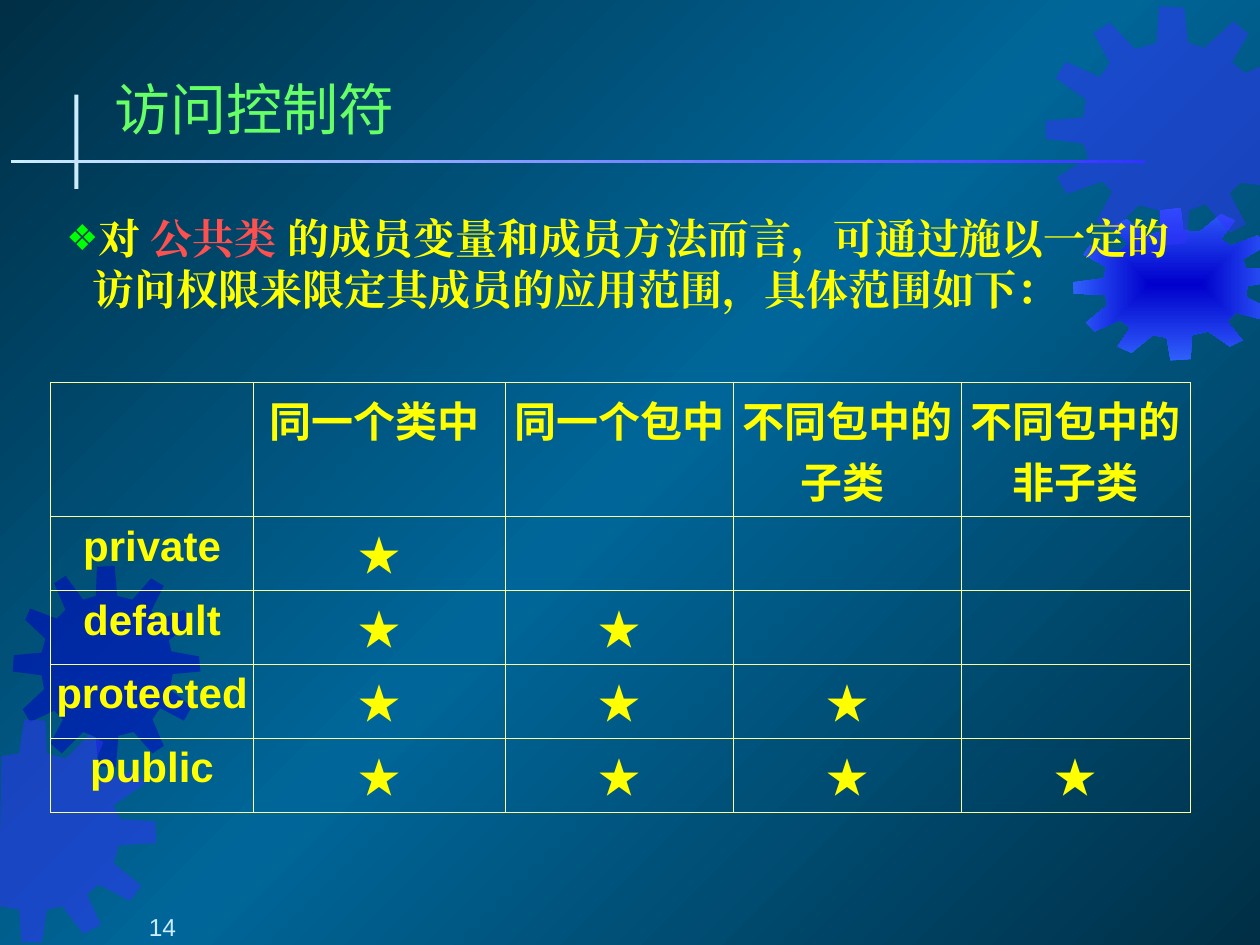
from math import cos, radians, sin

from lxml import etree
from pptx import Presentation
from pptx.dml.color import RGBColor
from pptx.enum.shapes import MSO_SHAPE
from pptx.enum.text import MSO_ANCHOR, MSO_AUTO_SIZE, PP_ALIGN
from pptx.oxml.ns import qn
from pptx.util import Cm, Pt

RECTANGLE = MSO_SHAPE.RECTANGLE
LEFT, CENTER = PP_ALIGN.LEFT, PP_ALIGN.CENTER
TOP, MIDDLE, BOTTOM = MSO_ANCHOR.TOP, MSO_ANCHOR.MIDDLE, MSO_ANCHOR.BOTTOM

NIGHT = RGBColor(0x00, 0x2F, 0x46)
OCEAN = RGBColor(0x00, 0x66, 0x99)
NAVY = RGBColor(0x00, 0x00, 0xCC)
BLUE = RGBColor(0x33, 0x33, 0xFF)
SKY = RGBColor(0x33, 0x66, 0xFF)
PALE = RGBColor(0xCC, 0xEC, 0xFF)
LIGHT_GREEN = RGBColor(0x66, 0xFF, 0x66)
GREEN = RGBColor(0x00, 0xFF, 0x00)
YELLOW = RGBColor(0xFF, 0xFF, 0x00)
CREAM = RGBColor(0xFF, 0xFF, 0x99)
RED = RGBColor(0xFF, 0x50, 0x50)

CJK, SANS, SERIF = "Noto Sans CJK SC", "Arial", "Times New Roman"

# Content
TITLE = "访问控制符"
INTRO = [
    ("对 ", YELLOW),
    ("公共类", RED),
    (" 的成员变量和成员方法而言，可通过施以一定的访问权限来限定其成员的应用范围，具体范围如下：", YELLOW),
]
SCOPES = ["同一个类中 ", "同一个包中 ", "不同包中的子类 ", "不同包中的非子类"]
ACCESS = [("private", 1), ("default", 2), ("protected", 3), ("public", 4)]  # scopes reached
PAGE_NUMBER = "14"

COLUMN_WIDTHS = [4.09, 5.08, 4.6, 4.6, 4.6]
ROW_HEIGHTS = [2.24, 1.24, 1.22, 1.22, 1.22]

# Gear outlines: x, y pairs in units of GEAR_UNIT
GEAR_UNIT = Cm(0.0254)
LEFT_UPPER_GEAR = [
    105, 476, 93, 473, 91, 449, 77, 450, 76, 473, 66, 476, 52, 457, 43, 463, 52, 484, 45, 491,
    24, 483, 20, 492, 36, 507, 33, 518, 11, 520, 10, 533, 33, 536, 35, 547, 18, 563, 24, 573,
    43, 564, 50, 571, 40, 590, 49, 598, 66, 581, 76, 585, 78, 608, 92, 609, 94, 584, 106, 581,
    121, 598, 130, 592, 121, 571, 127, 562, 146, 572, 152, 561, 135, 547, 137, 535, 159, 533,
    158, 521, 136, 517, 134, 508, 152, 495, 146, 484, 126, 492, 120, 485, 130, 465, 120, 459,
]
LEFT_LOWER_GEAR = [
    90, 686, 94, 672, 124, 670, 123, 653, 95, 651, 90, 640, 115, 623, 108, 612, 80, 622, 72, 614,
    82, 590, 71, 584, 52, 603, 37, 599, 36, 573, 19, 572, 15, 599, 1, 601, -1, 720, 15, 723,
    17, 749, 33, 749, 37, 723, 49, 720, 66, 742, 80, 735, 69, 711, 78, 703, 103, 716, 112, 704,
]
RIGHT_LOWER_GEAR = [
    952, 184, 939, 183, 937, 165, 921, 167, 921, 184, 910, 187, 894, 174, 884, 179, 895, 194,
    888, 200, 865, 195, 860, 202, 878, 212, 876, 221, 852, 224, 852, 233, 877, 234, 879, 242,
    862, 256, 869, 263, 889, 254, 897, 260, 887, 275, 898, 280, 915, 266, 926, 268, 929, 286,
    945, 285, 946, 266, 959, 263, 976, 275, 986, 270, 974, 255, 981, 248, 1003, 254, 1008, 245,
    989, 236, 990, 227, 1014, 223, 1013, 214, 989, 213, 986, 206, 1005, 195, 998, 187, 977, 195,
    969, 190, 980, 175, 969, 170,
]
RIGHT_UPPER_GEAR = [
    904, 163, 920, 167, 922, 195, 942, 193, 944, 167, 957, 162, 976, 185, 989, 178, 976, 153,
    985, 145, 1000, 147, 1000, 53, 988, 58, 978, 49, 991, 27, 979, 17, 956, 38, 943, 34, 940, 6,
    920, 5, 918, 34, 901, 39, 881, 18, 868, 26, 881, 50, 873, 61, 846, 49, 838, 62, 862, 79,
    860, 93, 830, 96, 830, 110, 860, 114, 864, 125, 839, 141, 847, 154, 875, 144, 883, 152,
    870, 176, 883, 183,
]


def add_child(parent, tag, **attributes):
    return etree.SubElement(parent, qn(tag), attributes)


def add_color(parent, color):
    return add_child(parent, "a:srgbClr", val=str(color))


def set_gradient(parent, stops, angle=None):
    """Replace the solid fill in parent; without an angle the gradient grows from the centre."""
    gradient = etree.Element(qn("a:gradFill"), rotWithShape="1")
    stop_list = add_child(gradient, "a:gsLst")
    for position, color in stops:
        add_color(add_child(stop_list, "a:gs", pos=str(position * 1000)), color)
    if angle is None:
        shade = add_child(gradient, "a:path")
        shade.set("path", "rect")
        add_child(shade, "a:fillToRect", l="50000", t="50000", r="50000", b="50000")
    else:
        add_child(gradient, "a:lin", ang=str(angle * 60000), scaled="0")
    parent.replace(parent.find(qn("a:solidFill")), gradient)


def paint(shape, color):
    shape.shadow.inherit = False
    shape.line.fill.background()
    shape.fill.solid()
    shape.fill.fore_color.rgb = color


def add_gear(page, outline, turn, color):
    """Draw the outline, kept as a shape that is turned by the given degrees."""
    xs, ys = outline[::2], outline[1::2]
    middle_x, middle_y = (min(xs) + max(xs)) / 2, (min(ys) + max(ys)) / 2
    c, s = cos(radians(turn)), sin(radians(turn))
    points = [
        ((middle_x + (x - middle_x) * c + (y - middle_y) * s) * GEAR_UNIT,
         (middle_y - (x - middle_x) * s + (y - middle_y) * c) * GEAR_UNIT)
        for x, y in zip(xs, ys)
    ]
    builder = page.shapes.build_freeform(*points[0])
    builder.add_line_segments(points[1:], close=True)
    gear = builder.convert_to_shape()
    gear.rotation = turn
    paint(gear, color)
    return gear


def add_bar(page, left, top, width, height, color):
    bar = page.shapes.add_shape(RECTANGLE, Cm(left), Cm(top), Cm(width), Cm(height))
    paint(bar, color)
    return bar


def place(shape, left, top, width, height):
    shape.left, shape.top, shape.width, shape.height = Cm(left), Cm(top), Cm(width), Cm(height)


def set_frame(frame, anchor, side, edge):
    frame.word_wrap = True
    frame.vertical_anchor = anchor
    frame.margin_left = frame.margin_right = Cm(side)
    frame.margin_top = frame.margin_bottom = Cm(edge)


def add_span(para, text, size, font, color, bold=False):
    span = para.add_run()
    span.text = text
    span.font.size, span.font.bold, span.font.name = Pt(size), bold, font
    span.font.color.rgb = color
    add_child(span.font._element, "a:ea", typeface=font)


def fill_cell(cell, text, font, space):
    cell.fill.background()
    cell.margin_left = cell.margin_right = Cm(0.1)
    cell.margin_top = cell.margin_bottom = Cm(0.13)
    properties = cell._tc.get_or_add_tcPr()
    for index, side in enumerate(("a:lnL", "a:lnR", "a:lnT", "a:lnB")):
        border = etree.Element(qn(side), w=str(Pt(0.45)))
        add_color(add_child(border, "a:solidFill"), CREAM)
        properties.insert(index, border)
    if text:
        para = cell.text_frame.paragraphs[0]
        para.alignment, para.space_before = CENTER, Pt(space)
        add_span(para, text, 24, font, YELLOW, True)


deck = Presentation()
deck.slide_width, deck.slide_height = Cm(25.4), Cm(19.05)
page = deck.slides.add_slide(deck.slide_layouts[1])

# Background, gears and title rules
page.background.fill.solid()
set_gradient(page.element.find(".//" + qn("p:bgPr")), [(0, NIGHT), (50, OCEAN), (100, NIGHT)], 225)
gears = [
    add_gear(page, LEFT_UPPER_GEAR, 0, NAVY),
    add_gear(page, LEFT_LOWER_GEAR, 90.7, BLUE),
    add_gear(page, RIGHT_LOWER_GEAR, 356.6, NAVY),
    add_gear(page, RIGHT_UPPER_GEAR, 179.7, BLUE),
]
set_gradient(gears[2].element.spPr, [(0, NAVY), (100, SKY)])
for gear in (gears[0], gears[1], gears[3]):
    add_child(gear.element.spPr.find(qn("a:solidFill"))[0], "a:alpha", val="50000")
add_bar(page, 1.5, 1.91, 0.08, 1.9, PALE)
rule = add_bar(page, 0.23, 3.22, 22.86, 0.06, BLUE)
set_gradient(rule.element.spPr, [(0, BLUE), (100, PALE)], 180)

# Title and introduction, brought in front of the decoration
title, body = page.shapes.title, page.placeholders[1]
for box in (title, body):
    page.shapes.element.append(box.element)
place(title, 2.21, 1.37, 22.45, 1.6)
set_frame(title.text_frame, MIDDLE, 0.1, 0.13)
title.text_frame.auto_size = MSO_AUTO_SIZE.SHAPE_TO_FIT_TEXT
para = title.text_frame.paragraphs[0]
para.alignment = LEFT
add_span(para, TITLE, 32, CJK, LIGHT_GREEN)

place(body, 1.24, 4.19, 22.99, 2.24)
set_frame(body.text_frame, TOP, 0.1, 0.1)
body.text_frame.auto_size = MSO_AUTO_SIZE.NONE
para = body.text_frame.paragraphs[0]
para.alignment, para.space_before = LEFT, Pt(3)
for text, color in INTRO:
    add_span(para, text, 24, SERIF, color, True)
properties = para._p.get_or_add_pPr()
properties.set("marL", str(Cm(0.53)))
properties.set("indent", str(Cm(-0.53)))
add_color(add_child(properties, "a:buClr"), GREEN)
add_child(properties, "a:buSzPct", val="85000")
add_child(properties, "a:buChar", char="❖")

# Access table
rows = [[""] + SCOPES]
rows += [[name] + ["★"] * reach + [""] * (len(SCOPES) - reach) for name, reach in ACCESS]
table = page.shapes.add_table(
    len(rows), len(rows[0]), Cm(1.02), Cm(7.7), Cm(sum(COLUMN_WIDTHS)), Cm(sum(ROW_HEIGHTS))
).table
table.first_row = table.horz_banding = False
for column, width in zip(table.columns, COLUMN_WIDTHS):
    column.width = Cm(width)
for r, (row, height) in enumerate(zip(rows, ROW_HEIGHTS)):
    table.rows[r].height = Cm(height)
    for c, text in enumerate(row):
        fill_cell(table.cell(r, c), text, CJK if c else SANS, 6 if text == SCOPES[-1] else 3)

# Page number
box = page.shapes.add_textbox(Cm(0), Cm(17.91), Cm(5.28), Cm(1.07))
set_frame(box.text_frame, BOTTOM, 0.25, 0)
para = box.text_frame.paragraphs[0]
para.alignment = CENTER
para._p.get_or_add_pPr().set("marL", str(Cm(1.27)))
add_span(para, PAGE_NUMBER, 14, SANS, PALE)

deck.save("out.pptx")
